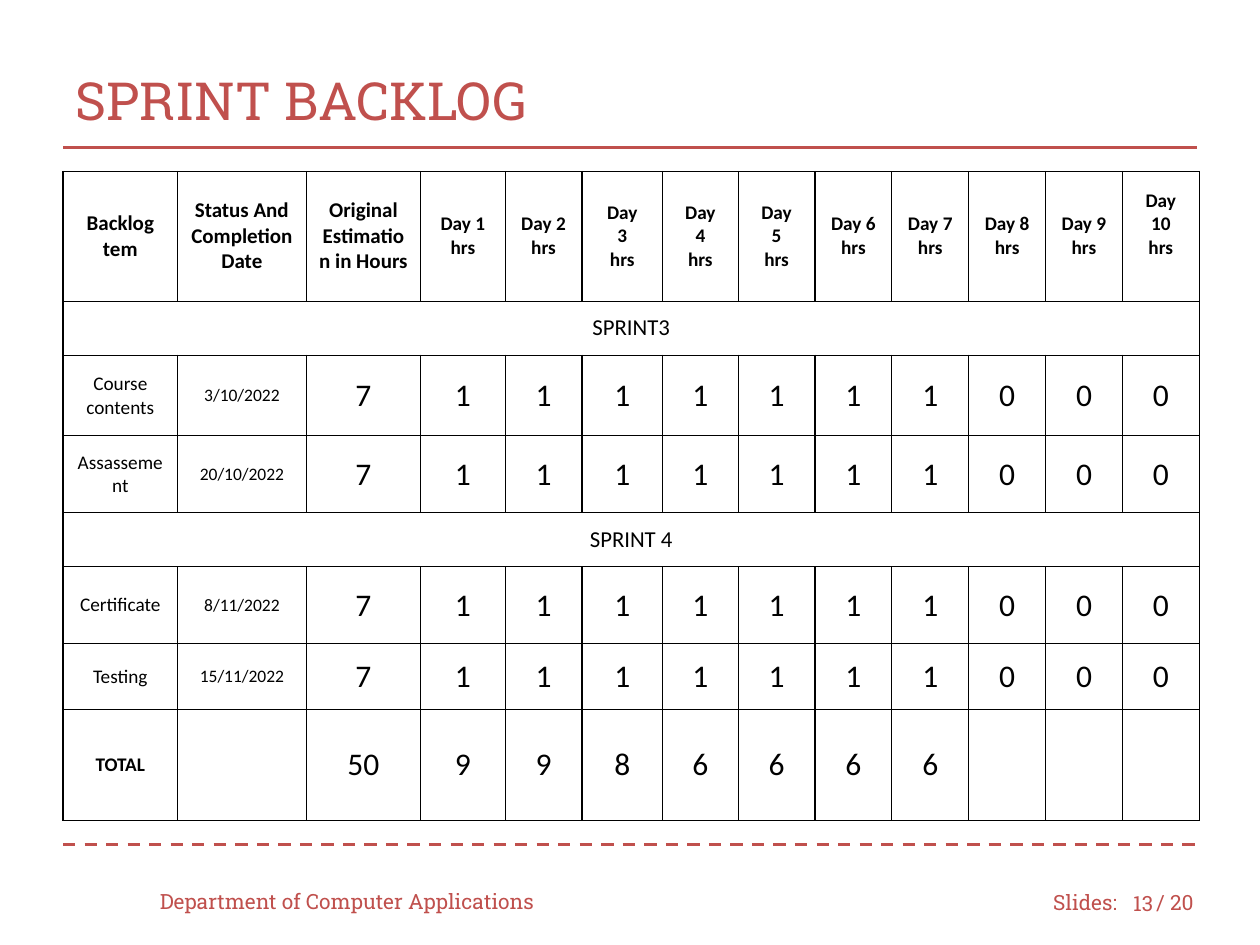
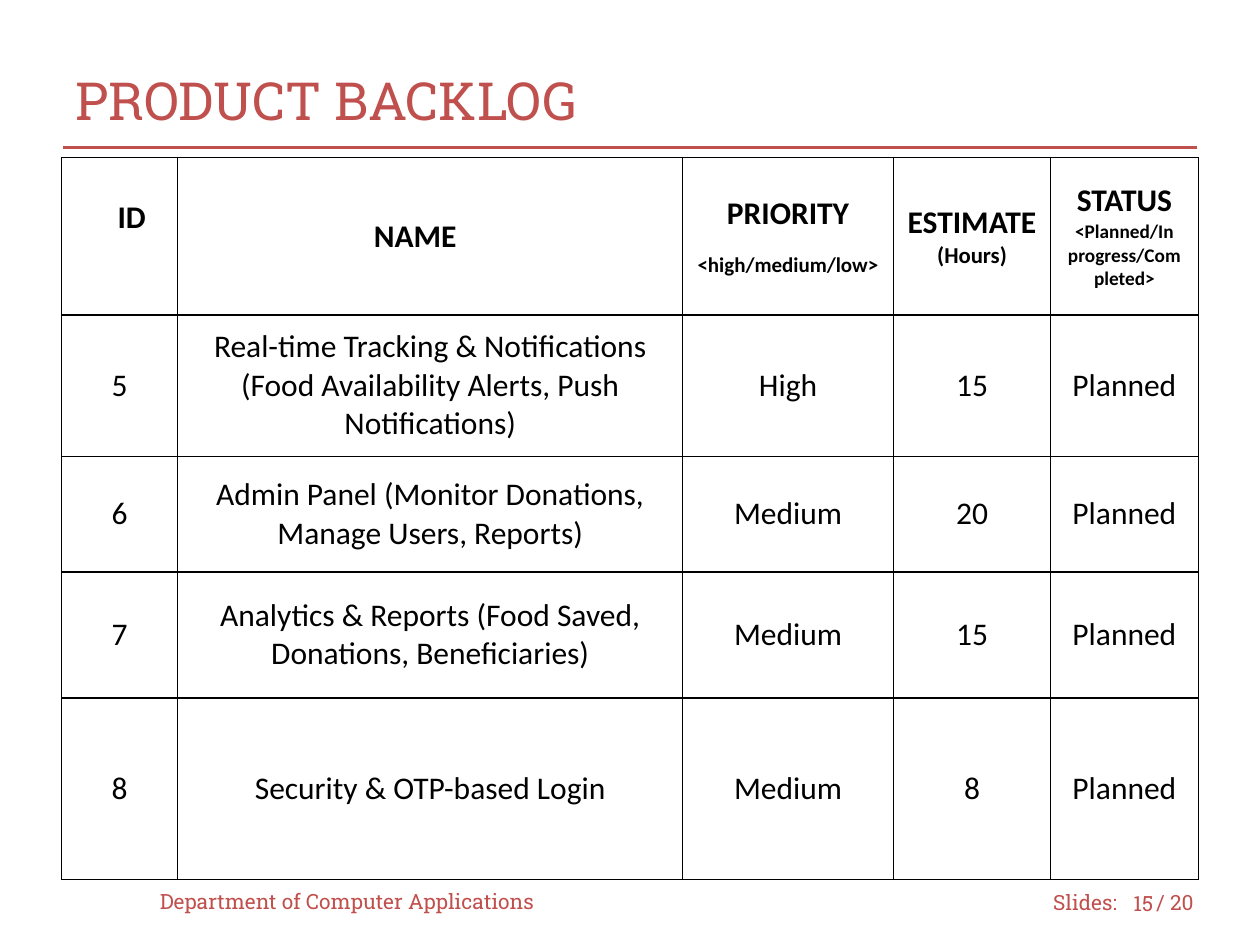
from lxml import etree
from pptx import Presentation
from pptx.dml.color import RGBColor
from pptx.enum.dml import MSO_LINE
from pptx.enum.shapes import MSO_CONNECTOR
from pptx.enum.text import MSO_ANCHOR, PP_ALIGN
from pptx.oxml.ns import qn
from pptx.util import Inches, Pt

STRAIGHT = MSO_CONNECTOR.STRAIGHT
DASH = MSO_LINE.DASH
MIDDLE = MSO_ANCHOR.MIDDLE
LEFT, CENTER, RIGHT = PP_ALIGN.LEFT, PP_ALIGN.CENTER, PP_ALIGN.RIGHT

RED, BLACK, WHITE = "C0504D", "000000", "FFFFFF"
SLAB, BODY = "Roboto Slab", "Calibri"
PAD = 0.1

DAYS = [f"Day {day}\nhrs" for day in range(1, 11)]
for split in (2, 3, 4):
    DAYS[split] = DAYS[split].replace(" ", "\n")
SPRINT_HEAD = ["Backlog tem", "Status And Completion Date",
               "Original Estimation in Hours"] + DAYS
SPENT = ["7"] + ["1"] * 7 + ["0"] * 3
SPRINT_ROWS = [
    SPRINT_HEAD,
    ["SPRINT3"],
    ["Course contents", "3/10/2022"] + SPENT,
    ["Assassement", "20/10/2022"] + SPENT,
    ["SPRINT 4"],
    ["Certificate", "8/11/2022"] + SPENT,
    ["Testing", "15/11/2022"] + SPENT,
    ["TOTAL", "", "50", "9", "9", "8", "6", "6", "6", "6", "", "", ""],
]
SPRINT_WIDTHS = [0.91, 1.02, 0.91, 0.67, 0.61, 0.64, 0.6] + [0.61] * 6
SPRINT_HEIGHTS = [1.03, 0.43, 0.64, 0.61, 0.43, 0.61, 0.52, 0.88]

PRODUCT_ROWS = [
    ["ID", "NAME", "PRIORITY\n<high/medium/low>", "ESTIMATE\n(Hours)",
     "STATUS\n<Planned/In progress/Completed>"],
    ["5", "Real-time Tracking & Notifications (Food Availability Alerts, "
     "Push Notifications)", "High", "15", "Planned"],
    ["6", "Admin Panel (Monitor Donations, Manage Users, Reports)",
     "Medium", "20", "Planned"],
    ["7", "Analytics & Reports (Food Saved, Donations, Beneficiaries)",
     "Medium", "15", "Planned"],
    ["8", "Security & OTP-based Login", "Medium", "8", "Planned"],
]
PRODUCT_WIDTHS = [0.92, 4.01, 1.67, 1.25, 1.17]
PRODUCT_HEIGHTS = [1.25, 1.12, 0.92, 1, 1.44]
NOTE_SIZES = {2: 12, 3: 13, 4: 11}


def paint(color, value):
    color.rgb = RGBColor.from_string(value)


def style(par, size, font, color, bold=False, align=LEFT):
    par.alignment = align
    for run in par.runs:
        run.font.size = Pt(size)
        run.font.name = font
        run.font.bold = bold
        paint(run.font.color, color)


def add_text(slide, text, left, top, width, height, size=12, align=LEFT):
    box = slide.shapes.add_textbox(
        Inches(left), Inches(top), Inches(width), Inches(height))
    frame = box.text_frame
    frame.word_wrap = True
    frame.vertical_anchor = MIDDLE
    frame.text = text
    style(frame.paragraphs[0], size, SLAB, RED, align=align)


def add_rule(slide, top, dash=None):
    rule = slide.shapes.add_connector(
        STRAIGHT, Inches(0.5), Inches(top), Inches(9.5), Inches(top))
    rule.line.width = Pt(1.75)
    paint(rule.line.color, RED)
    if dash:
        rule.line.dash_style = dash
    etree.SubElement(rule._element.spPr, qn("a:effectLst"))


def add_page(deck, title, number):
    slide = deck.slides.add_slide(deck.slide_layouts[6])
    add_rule(slide, 6.7, DASH)
    add_rule(slide, 1.17)
    add_text(slide, title, 0.5, 0.33, 9, 0.92, size=30)
    add_text(slide, "Department of Computer Applications", 1.17, 6.95, 3.33, 0.4)
    add_text(slide, "Slides:", 8.26, 6.96, 0.75, 0.4)
    add_text(slide, number, 8.83, 6.97, 0.42, 0.4, align=RIGHT)
    add_text(slide, "/ 20", 9.08, 6.96, 0.58, 0.4)
    return slide


def add_border(cell):
    props = cell._tc.get_or_add_tcPr()
    for side in ("a:lnL", "a:lnR", "a:lnT", "a:lnB"):
        line = etree.SubElement(props, qn(side), w=str(Pt(0.75)))
        fill = etree.SubElement(line, qn("a:solidFill"))
        etree.SubElement(fill, qn("a:srgbClr"), val=BLACK)


def fill_cell(cell, text, size, bold):
    cell.margin_left = cell.margin_right = Inches(PAD)
    cell.margin_top = cell.margin_bottom = Inches(PAD)
    cell.vertical_anchor = MIDDLE
    cell.text_frame.text = text
    for par in cell.text_frame.paragraphs:
        style(par, size, BODY, BLACK, bold, CENTER)


def add_grid(slide, left, top, widths, heights, rows, look):
    shape = slide.shapes.add_table(
        len(heights), len(widths), Inches(left), Inches(top),
        Inches(sum(widths)), Inches(sum(heights)))
    grid = shape.table
    grid.first_row = grid.horz_banding = False
    for col, width in zip(grid.columns, widths):
        col.width = Inches(width)
    for row, height in zip(grid.rows, heights):
        row.height = Inches(height)
    for cell in grid.iter_cells():
        add_border(cell)
        cell.fill.solid()
        paint(cell.fill.fore_color, WHITE)
    for r, texts in enumerate(rows):
        if len(texts) == 1:
            grid.cell(r, 0).merge(grid.cell(r, len(widths) - 1))
        for c, text in enumerate(texts):
            fill_cell(grid.cell(r, c), text, *look(r, c))
    return grid


def sprint_look(r, c):
    if r == 0:
        return (12 if c < 3 else 11), True
    if len(SPRINT_ROWS[r]) == 1:
        return 13, False
    return {0: 11, 1: 10}.get(c, 18), r == 7 and c == 0


def product_look(r, c):
    return 18, r == 0


def add_sprint(deck):
    slide = add_page(deck, "SPRINT BACKLOG", "13")
    grid = add_grid(slide, 0.5, 1.36, SPRINT_WIDTHS, SPRINT_HEIGHTS,
                    SPRINT_ROWS, sprint_look)
    grid.cell(0, 12).margin_bottom = Inches(0.29)


def add_product(deck):
    slide = add_page(deck, "PRODUCT BACKLOG", "15")
    grid = add_grid(slide, 0.49, 1.25, PRODUCT_WIDTHS, PRODUCT_HEIGHTS,
                    PRODUCT_ROWS, product_look)
    for c, size in NOTE_SIZES.items():
        note = grid.cell(0, c).text_frame.paragraphs[1]
        style(note, size, BODY, BLACK, True, CENTER)
    grid.cell(0, 2).text_frame.paragraphs[1].space_before = Pt(11)
    grid.cell(0, 0).margin_left = Inches(0.29)
    grid.cell(0, 0).margin_bottom = Inches(0.39)
    grid.cell(0, 1).margin_right = Inches(0.34)


def main():
    deck = Presentation()
    deck.slide_width = Inches(10)
    deck.slide_height = Inches(7.5)
    add_sprint(deck)
    add_product(deck)
    deck.save("out.pptx")


if __name__ == "__main__":
    main()
